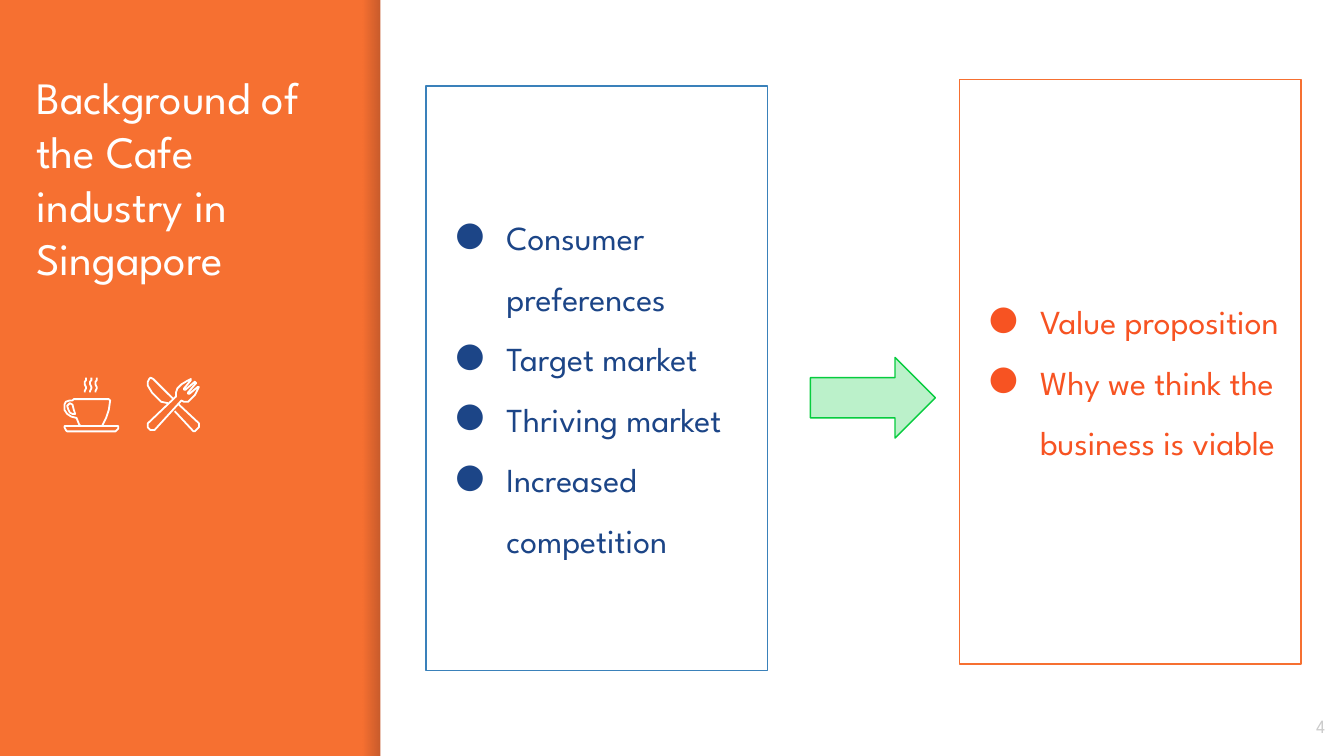
from dataclasses import dataclass

from lxml.etree import SubElement
from pptx import Presentation
from pptx.dml.color import RGBColor as Rgb
from pptx.enum.shapes import MSO_SHAPE as Shape
from pptx.enum.text import MSO_ANCHOR as Anchor, MSO_AUTO_SIZE as AutoSize, PP_ALIGN as Align
from pptx.oxml.ns import qn
from pptx.util import Inches, Pt


@dataclass(frozen=True)
class Theme:
    font: str = "League Spartan"
    orange: str = "F67031"
    red: str = "F75322"
    blue: str = "3A81BA"
    navy: str = "1C4587"
    green: str = "06CC3E"
    white: str = "FFFFFF"
    grey: str = "CCCCCC"
    shade: str = "000014"
    title_size: int = 24
    body_size: int = 18
    number_size: int = 10


THEME = Theme()
PAGE_WIDTH = 10
PAGE_HEIGHT = PAGE_WIDTH * 9 / 16

# Icon outlines in hundredths of an inch: (points, closed)
STEAM = [(1, 0), (1, 2), (0, 3), (0, 5), (1, 7), (1, 8), (0, 10), (0, 11)]
CUP = [
    ([(28, 36), (31, 30), (33, 24), (34, 17), (33, 16), (7, 16), (6, 17), (4, 17), (1, 18),
      (0, 20), (0, 24), (2, 27), (5, 29), (9, 30), (11, 35), (12, 36)], False),
    ([(2, 21), (3, 20), (4, 19), (6, 20), (7, 24), (8, 27), (6, 27), (4, 26), (3, 24)], True),
    ([(38, 40), (2, 40), (1, 39), (0, 37), (0, 36), (40, 36), (40, 38), (39, 39)], True),
] + [([(x + left, y) for x, y in STEAM], False) for left in (15, 19, 23)]
CUTLERY = [
    ([(20, 25), (33, 39), (34, 40), (35, 40), (36, 39), (38, 37), (38, 34), (23, 20)], False),
    ([(19, 16), (4, 1), (2, 0), (1, 1), (0, 3), (0, 6), (3, 11), (7, 15), (10, 18),
      (15, 19)], False),
    ([(32, 16), (35, 13), (38, 7), (37, 7), (31, 12), (30, 12), (30, 11), (36, 4), (35, 3),
      (28, 9), (27, 9), (27, 8), (32, 2), (32, 1), (30, 2), (25, 5), (22, 8), (21, 11),
      (21, 14), (0, 34), (0, 37), (2, 39), (5, 39), (25, 17), (27, 18), (30, 18)], True),
]


def inches(box):
    return [Inches(value) for value in box]


def set_alpha(color_element, percent):
    SubElement(color_element, qn("a:alpha"), val=str(percent * 1000))


def style_font(para, size, color):
    para.font.name = THEME.font
    para.font.size = Pt(size)
    para.font.color.rgb = Rgb.from_string(color)


def style_frame(frame, anchor):
    frame.word_wrap = True
    frame.auto_size = AutoSize.NONE
    frame.vertical_anchor = anchor
    frame.margin_left = frame.margin_right = Inches(0.1)
    frame.margin_top = frame.margin_bottom = Inches(0.1)


def style_shape(shape, fill=None, line=None, width=0.75):
    shape.shadow.inherit = False
    if fill:
        shape.fill.solid()
        shape.fill.fore_color.rgb = Rgb.from_string(fill)
    else:
        shape.fill.background()
    if line:
        shape.line.color.rgb = Rgb.from_string(line)
        shape.line.width = Pt(width)
    else:
        shape.line.fill.background()


def add_bullet(para, color):
    properties = para._p.get_or_add_pPr()
    properties.set("marL", str(Inches(0.5)))
    properties.set("indent", str(Inches(-0.38)))
    bullet_color = SubElement(properties, qn("a:buClr"))
    SubElement(bullet_color, qn("a:srgbClr"), val=color)
    SubElement(properties, qn("a:buSzPts"), val=str(THEME.body_size * 100))
    SubElement(properties, qn("a:buFont"), typeface=THEME.font)
    SubElement(properties, qn("a:buChar"), char="●")


def add_backdrop(page, box):
    """White content area with a soft shade along its left edge."""
    left, top, width, height = box
    page.background.fill.solid()
    page.background.fill.fore_color.rgb = Rgb.from_string(THEME.orange)
    shade = page.shapes.add_shape(Shape.RECTANGLE, *inches((left - 0.13, top, 0.13, height)))
    style_shape(shade)
    shade.fill.gradient()
    shade.fill.gradient_angle = 0
    for stop, percent in zip(shade.fill.gradient_stops, (0, 20)):
        stop.color.rgb = Rgb.from_string(THEME.shade)
        set_alpha(stop.color._xFill.find(qn("a:srgbClr")), percent)
    area = page.shapes.add_shape(Shape.RECTANGLE, *inches(box))
    style_shape(area, THEME.white)


def place_title(page, box, text):
    title = page.shapes.title
    title.left, title.top, title.width, title.height = inches(box)
    style_frame(title.text_frame, Anchor.TOP)
    para = title.text_frame.paragraphs[0]
    para.text = text
    para.alignment = Align.LEFT
    para.line_spacing = 1.0
    style_font(para, THEME.title_size, THEME.white)


def add_icon(page, left, top, outlines):
    group = page.shapes.add_group_shape()
    for points, closed in outlines:
        builder = group.shapes.build_freeform(*points[0], scale=Inches(0.01))
        builder.add_line_segments(points[1:], close=closed)
        outline = builder.convert_to_shape(Inches(left), Inches(top))
        style_shape(outline, line=THEME.white, width=0.96)


def add_bullet_panel(page, box, items, border, color):
    panel = page.shapes.add_shape(Shape.RECTANGLE, *inches(box))
    style_shape(panel, line=border)
    frame = panel.text_frame
    style_frame(frame, Anchor.MIDDLE)
    for index, item in enumerate(items):
        para = frame.add_paragraph() if index else frame.paragraphs[0]
        para.text = item
        para.alignment = Align.LEFT
        para.line_spacing = 1.5
        add_bullet(para, color)
        style_font(para, THEME.body_size, color)


def add_arrow(page, box):
    arrow = page.shapes.add_shape(Shape.RIGHT_ARROW, *inches(box))
    style_shape(arrow, THEME.green, THEME.green)
    set_alpha(arrow.fill._xPr.find(qn("a:solidFill"))[0], 27)


def add_page_number(page, box, number):
    frame = page.shapes.add_textbox(*inches(box)).text_frame
    style_frame(frame, Anchor.MIDDLE)
    para = frame.paragraphs[0]
    para.text = number
    para.alignment = Align.RIGHT
    style_font(para, THEME.number_size, THEME.grey)


def main():
    deck = Presentation()
    deck.slide_width, deck.slide_height = Inches(PAGE_WIDTH), Inches(PAGE_HEIGHT)
    page = deck.slides.add_slide(deck.slide_layouts[5])
    add_backdrop(page, (2.83, 0, PAGE_WIDTH - 2.83, PAGE_HEIGHT))
    place_title(page, (0.17, 0.42, 2.24, 4.35), "Background of the Cafe industry in Singapore")
    add_icon(page, 0.48, 2.81, CUP)
    add_icon(page, 1.1, 2.81, CUTLERY)
    add_bullet_panel(page, (3.17, 0.64, 2.54, 4.35),
                     ["Consumer preferences", "Target market", "Thriving market",
                      "Increased competition"], THEME.blue, THEME.navy)
    add_arrow(page, (6.03, 2.66, 0.93, 0.6))
    add_bullet_panel(page, (7.14, 0.59, 2.54, 4.35),
                     ["Value proposition", "Why we think the business is viable"],
                     THEME.orange, THEME.red)
    add_page_number(page, (9.36, 5.19, 0.6, 0.43), "4")
    deck.save("out.pptx")


if __name__ == "__main__":
    main()
